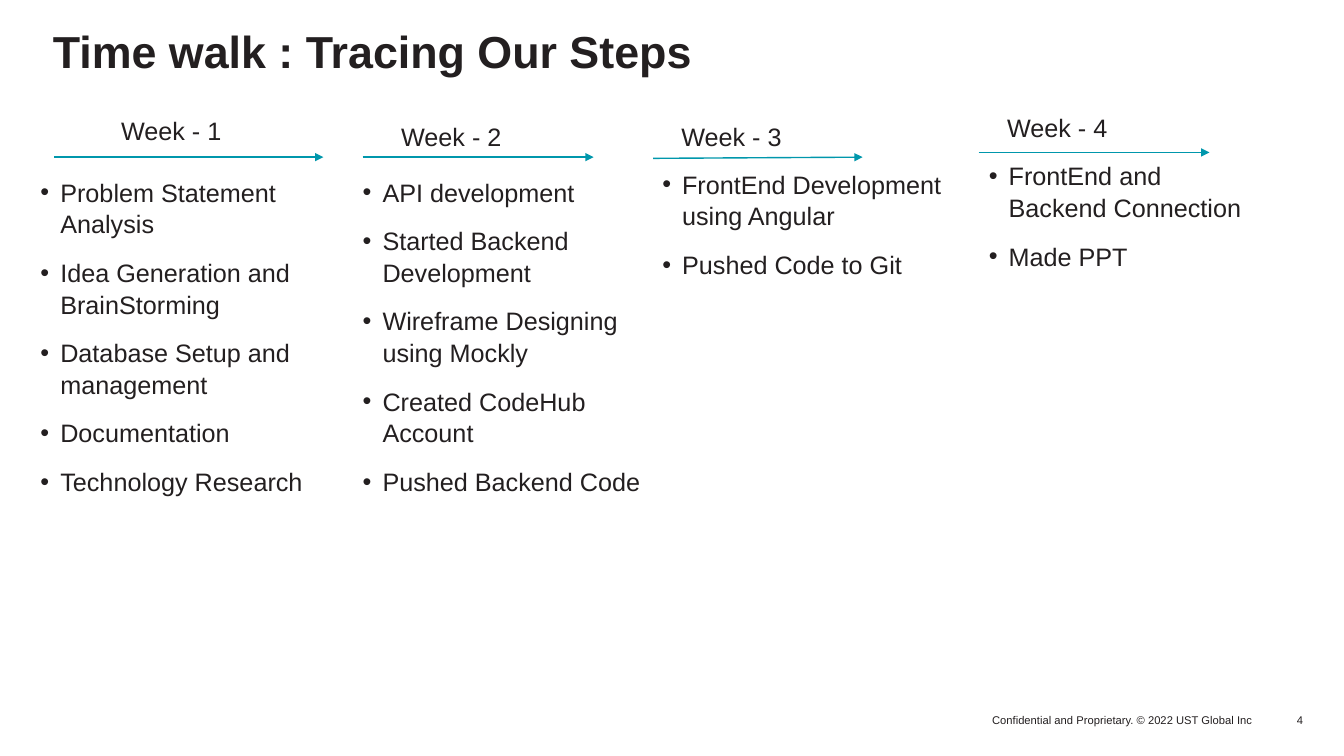
from typing import NamedTuple

from lxml.etree import SubElement
from pptx import Presentation
from pptx.dml.color import RGBColor
from pptx.enum.shapes import MSO_CONNECTOR as Connector
from pptx.enum.text import MSO_ANCHOR as Anchor, MSO_AUTO_SIZE as AutoSize, PP_ALIGN as Align
from pptx.oxml.ns import qn
from pptx.util import Cm, Pt

INK = "231F20"
TEAL = "0097AC"
FONT = "Arial"
COMPARISON_LAYOUT = 4  # a title and four body placeholders


class Week(NamedTuple):
    heading: tuple  # left, top
    arrow: tuple  # start x, start y, end x, end y
    steps_area: tuple  # left, top, width, height
    steps: list


WEEKS = [
    Week((0.48, 2.9), (1.37, 3.96, 8.15, 3.96), (1.02, 4.42, 8.13, 12.47),
         ["Problem Statement Analysis", "Idea Generation and BrainStorming",
          "Database Setup and management", "Documentation", "Technology Research"]),
    Week((7.54, 3.05), (9.14, 3.96, 14.96, 3.96), (9.14, 4.42, 7.16, 11.28),
         ["API development", "Started Backend Development",
          "Wireframe Designing using Mockly", "Created CodeHub Account",
          "Pushed Backend Code"]),
    Week((14.6, 3.07), (16.46, 3.99, 21.74, 3.96), (16.69, 4.22, 7.16, 11.28),
         ["FrontEnd Development using Angular", "Pushed Code to Git"]),
    Week((22.81, 2.82), (24.66, 3.84, 30.48, 3.84), (24.92, 4.01, 6.65, 2.8),
         ["FrontEnd and Backend Connection", "Made PPT"]),
]


def colour(hex_string):
    return RGBColor.from_string(hex_string)


def format_para(para, size, align=Align.LEFT, bold=False):
    para.alignment = align
    for span in para.runs:
        span.font.name = FONT
        span.font.size = Pt(size)
        span.font.bold = bold
        span.font.color.rgb = colour(INK)


def set_frame(frame, anchor=Anchor.TOP, wrap=True):
    frame.margin_left = frame.margin_right = 0
    frame.margin_top = frame.margin_bottom = 0
    frame.auto_size = AutoSize.NONE
    frame.vertical_anchor = anchor
    frame.word_wrap = wrap


def place(box, left, top, width, height):
    box.left, box.top = Cm(left), Cm(top)
    box.width, box.height = Cm(width), Cm(height)


def add_label(page, text, area, size, align, anchor=Anchor.TOP, wrap=True):
    box = page.shapes.add_textbox(*[Cm(length) for length in area])
    set_frame(box.text_frame, anchor, wrap)
    box.text_frame.text = text
    format_para(box.text_frame.paragraphs[0], size, align)


def add_arrow(page, ends):
    arrow = page.shapes.add_connector(Connector.STRAIGHT, *[Cm(length) for length in ends])
    arrow.line.color.rgb = colour(TEAL)
    arrow.line.width = Pt(1)
    SubElement(arrow.line._get_or_add_ln(), qn("a:tailEnd"), type="triangle")
    SubElement(arrow._element.spPr, qn("a:effectLst"))


def add_bullet(para):
    properties = para._p.get_or_add_pPr()
    properties.set("marL", str(Cm(0.5)))
    properties.set("indent", str(-Cm(0.5)))
    SubElement(properties, qn("a:buFont"), typeface=FONT)
    SubElement(properties, qn("a:buChar"), char="•")


def fill_title(title, text):
    place(title, 1.02, 0.76, 31.83, 2.54)
    set_frame(title.text_frame)
    title.text_frame.margin_left = Cm(0.31)
    title.text_frame.text = text
    para = title.text_frame.paragraphs[0]
    para.line_spacing = 0.9
    format_para(para, 32, bold=True)


def fill_steps(body, area, steps):
    place(body, *area)
    set_frame(body.text_frame)
    body.text_frame.text = "\n".join(steps)
    for index, para in enumerate(body.text_frame.paragraphs):
        add_bullet(para)
        para.space_before = Pt(12 if index else 0)
        para.line_spacing = 1.05
        format_para(para, 18)


def main():
    deck = Presentation()
    deck.slide_width, deck.slide_height = Cm(33.87), Cm(19.05)
    page = deck.slides.add_slide(deck.slide_layouts[COMPARISON_LAYOUT])

    # Title
    title, *bodies = page.placeholders
    fill_title(title, "Time walk : Tracing Our Steps")

    # One column per week: heading, arrow, steps
    for number, (week, body) in enumerate(zip(WEEKS, bodies), start=1):
        add_label(page, f"Week - {number}", (*week.heading, 7.67, 0.94), 18, Align.CENTER)
        add_arrow(page, week.arrow)
        fill_steps(body, week.steps_area, week.steps)

    # Footer
    add_label(page, "Confidential and Proprietary. © 2022 UST Global Inc",
              (22.83, 17.81, 8.74, 0.51), 8, Align.RIGHT, Anchor.BOTTOM, wrap=False)
    add_label(page, "4", (31.57, 17.55, 1.27, 0.76), 8, Align.RIGHT, Anchor.BOTTOM)

    deck.save("out.pptx")


if __name__ == "__main__":
    main()
